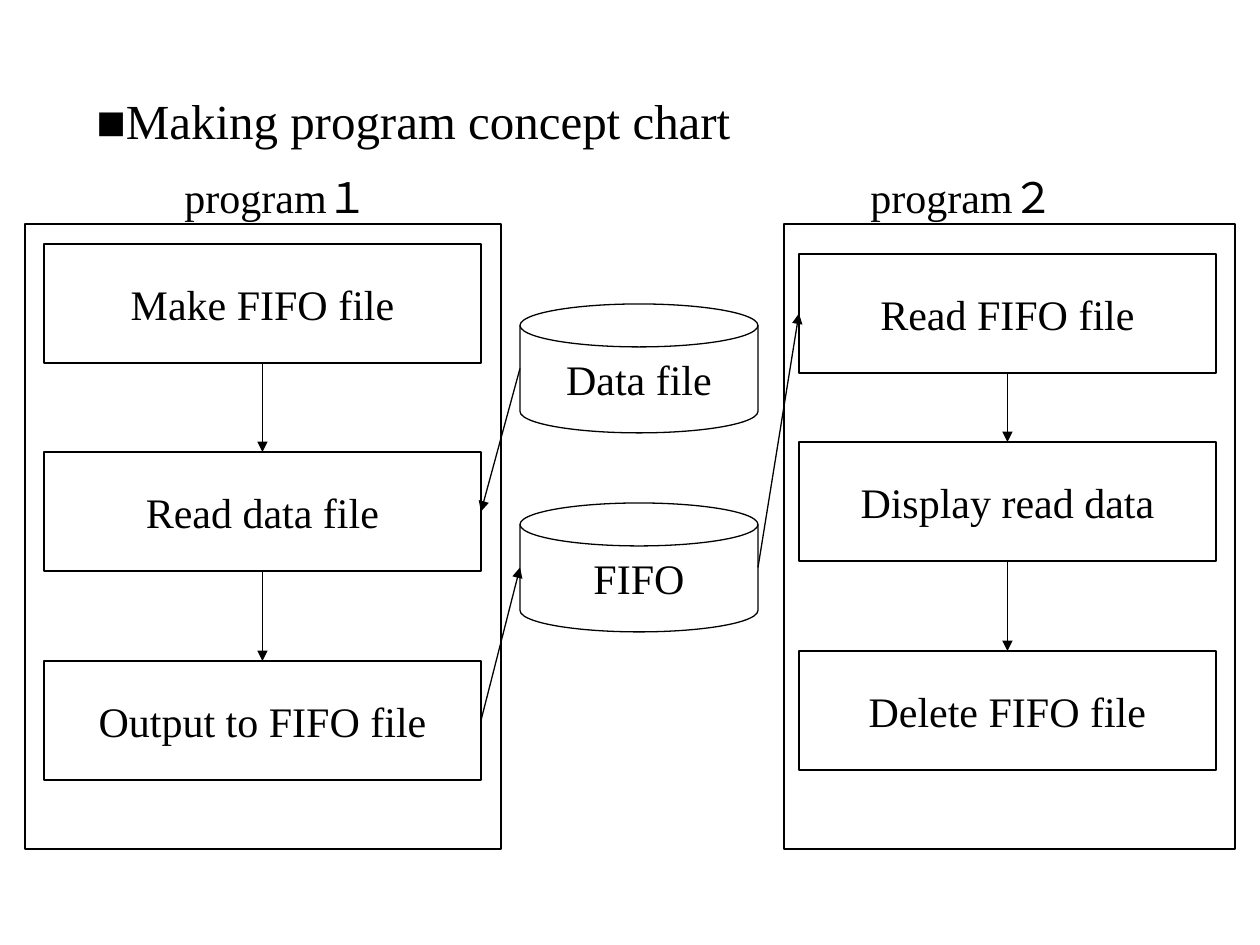
import pptx
import pptx.dml.color
import pptx.enum.shapes
import pptx.enum.text
import pptx.oxml.ns
import pptx.util
from lxml import etree

PX = 914400 / 126
COLORS = {"ink": "000000", "paper": "FFFFFF"}
SHAPE = pptx.enum.shapes.MSO_SHAPE
ANCHOR = pptx.enum.text.MSO_ANCHOR
ALIGN = pptx.enum.text.PP_ALIGN
FIT = pptx.enum.text.MSO_AUTO_SIZE
TOP, LEFT, BOTTOM, RIGHT = range(4)
BOX_H = 119


def emu(*lengths):
    return [pptx.util.Emu(round(n * PX)) for n in lengths]


def color(name):
    return pptx.dml.color.RGBColor.from_string(COLORS[name])


def set_attrs(obj, values):
    for name, value in values.items():
        setattr(obj, name, value)


def write(tf, text, size, frame, para):
    set_attrs(tf, frame)
    p = tf.paragraphs[0]
    set_attrs(p, para)
    r = p.add_run()
    r.text = text
    set_attrs(r.font, {"name": "Times New Roman", "size": pptx.util.Pt(size)})
    r.font.color.rgb = color("ink")


def add_label(s, box, text, size, align, before):
    sp = s.shapes.add_textbox(*emu(*box))
    write(sp.text_frame, text, size,
          {"word_wrap": True, "auto_size": FIT.SHAPE_TO_FIT_TEXT},
          {"alignment": align, "space_before": pptx.util.Pt(before)})


def add_node(s, kind, box, text=""):
    sp = s.shapes.add_shape(kind, *emu(*box))
    sp.shadow.inherit = False
    sp.fill.solid()
    sp.fill.fore_color.rgb = color("paper")
    sp.line.color.rgb = color("ink")
    sp.line.width = pptx.util.Pt(0.75)
    if text:
        write(sp.text_frame, text, 24,
              {"word_wrap": False, "vertical_anchor": ANCHOR.MIDDLE},
              {"alignment": ALIGN.CENTER})
    return sp


def side(sp, site):
    x = {LEFT: sp.left, RIGHT: sp.left + sp.width}.get(site, sp.left + sp.width // 2)
    y = {TOP: sp.top, BOTTOM: sp.top + sp.height}.get(site, sp.top + sp.height // 2)
    return x, y


def add_arrow(s, start, start_site, end, end_site):
    c = s.shapes.add_connector(pptx.enum.shapes.MSO_CONNECTOR.STRAIGHT,
                               *side(start, start_site), *side(end, end_site))
    if start.auto_shape_type == SHAPE.RECTANGLE:
        c.begin_connect(start, start_site)
    if end.auto_shape_type == SHAPE.RECTANGLE:
        c.end_connect(end, end_site)
    c.line.color.rgb = color("ink")
    c.line.width = pptx.util.Pt(0.75)
    qn = pptx.oxml.ns.qn
    etree.SubElement(c.line._get_or_add_ln(), qn("a:tailEnd"), type="triangle")
    etree.SubElement(c._element.spPr, qn("a:effectLst"))


def add_program(s, box, title, title_dx, inset, width, steps):
    x, y, w, h = box
    add_label(s, (x + title_dx, y - 59, 307, 63), title, 24, ALIGN.CENTER, 15)
    add_node(s, SHAPE.RECTANGLE, box)
    nodes = [add_node(s, SHAPE.RECTANGLE, (x + inset, y + dy, width, BOX_H), text)
             for dy, text in steps]
    for upper, lower in zip(nodes, nodes[1:]):
        add_arrow(s, upper, BOTTOM, lower, TOP)
    return nodes


def add_files(s, box, names, pitch):
    x, y, w, h = box
    return [add_node(s, SHAPE.FLOWCHART_MAGNETIC_DISK, (x, y + i * pitch, w, h), name)
            for i, name in enumerate(names)]


def main():
    prs = pptx.Presentation()
    set_attrs(prs, {"slide_width": pptx.util.Inches(10),
                    "slide_height": pptx.util.Inches(7.5)})
    s = prs.slides.add_slide(prs.slide_layouts[6])
    add_label(s, (84, 84, 883, 72), "■Making program concept chart", 28,
              ALIGN.LEFT, 17.5)
    data, fifo = add_files(s, (520, 304, 238, 129), ["Data file", "FIFO"], 199)
    make, read_data, output = add_program(
        s, (25, 224, 476, 625), "program１", 98, 19, 437,
        [(20, "Make FIFO file"), (228, "Read data file"), (437, "Output to FIFO file")])
    read_fifo, display, delete = add_program(
        s, (784, 224, 451, 625), "program２", 25, 15, 417,
        [(30, "Read FIFO file"), (218, "Display read data"), (427, "Delete FIFO file")])
    add_arrow(s, data, LEFT, read_data, RIGHT)
    add_arrow(s, output, RIGHT, fifo, LEFT)
    add_arrow(s, fifo, RIGHT, read_fifo, LEFT)
    prs.save("out.pptx")


if __name__ == "__main__":
    main()
